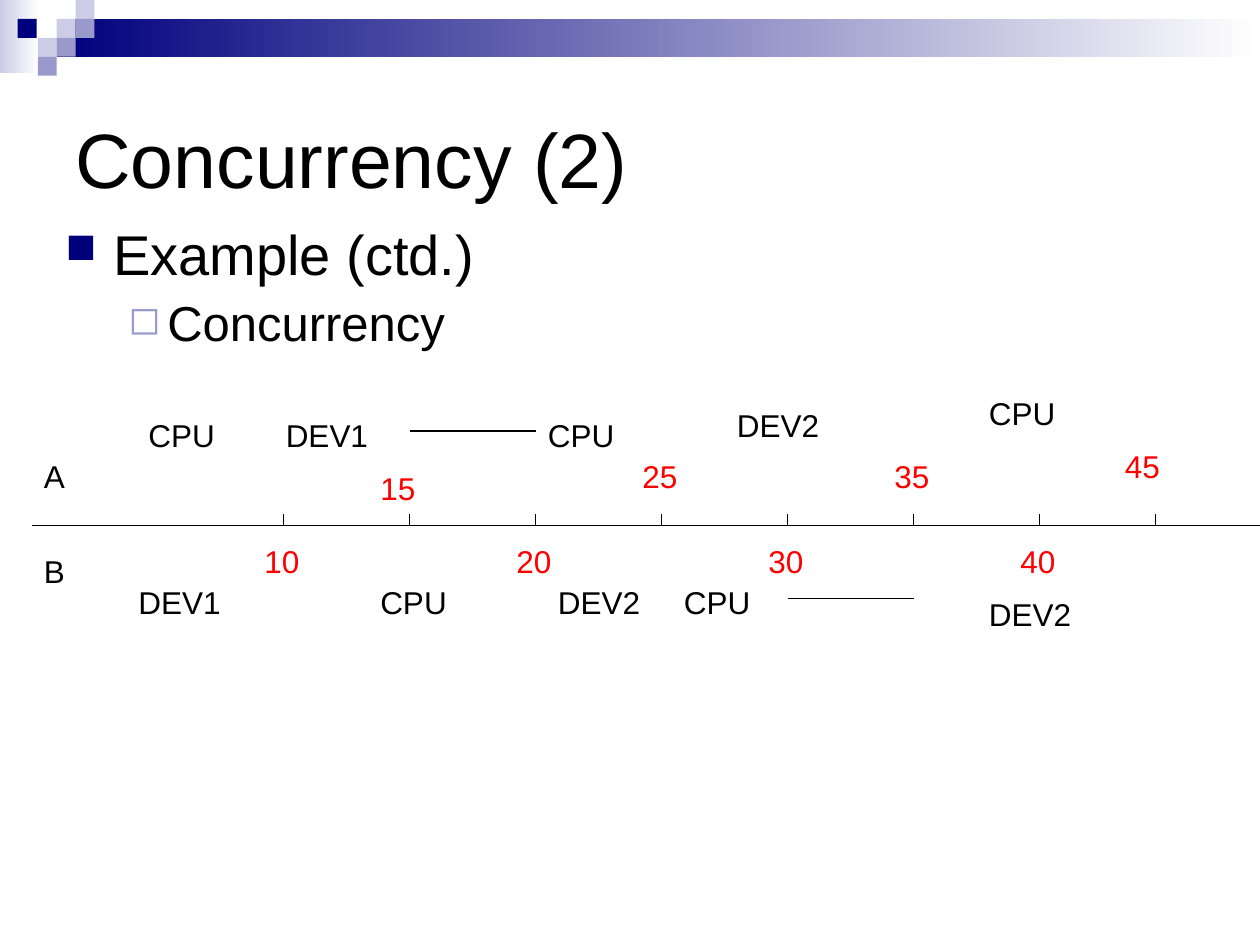
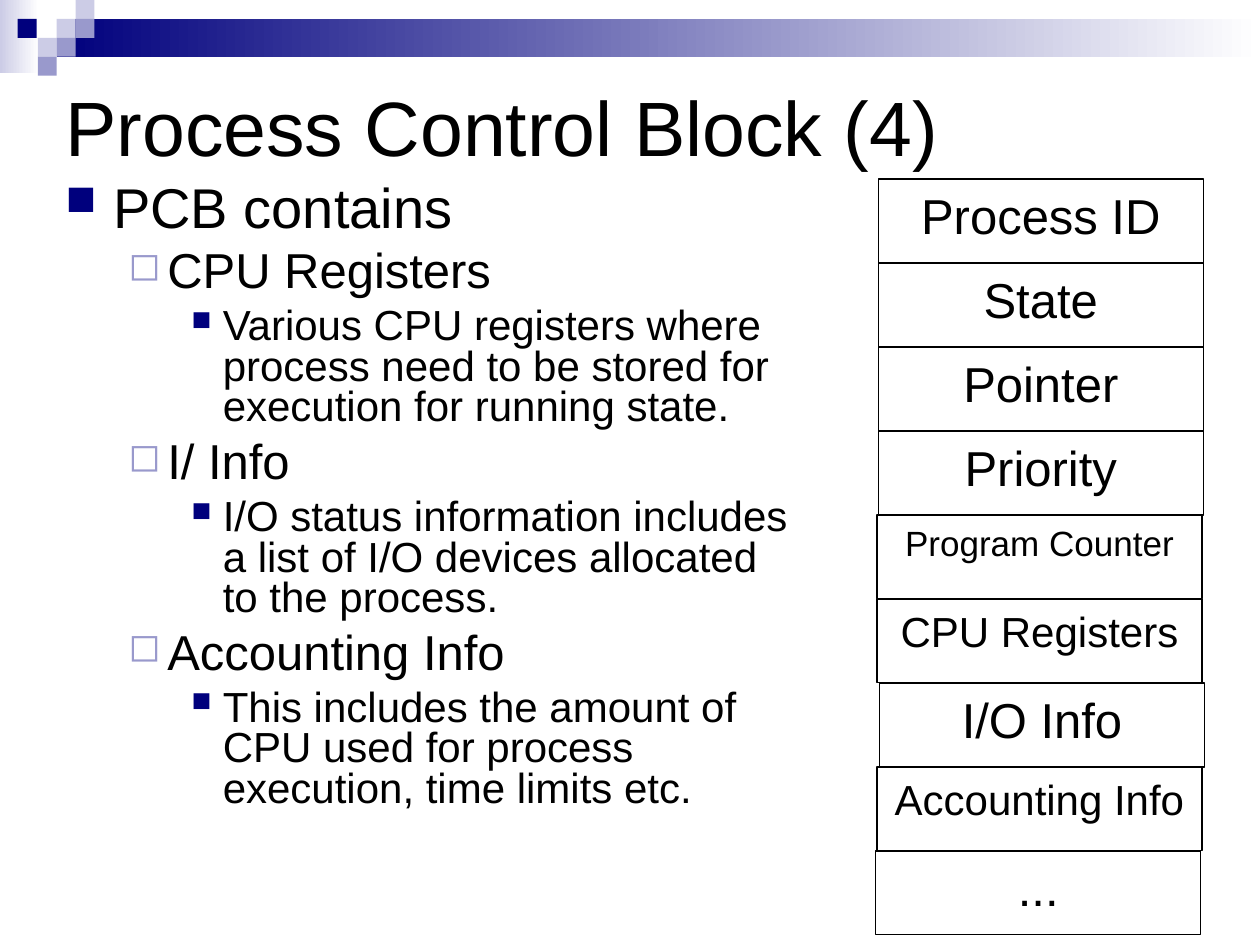
"""Build two operating-systems slides: a concurrency timeline and a process control block."""
from dataclasses import dataclass

from lxml import etree
from pptx import Presentation
from pptx.dml.color import RGBColor
from pptx.enum.shapes import MSO_CONNECTOR, MSO_SHAPE
from pptx.enum.text import MSO_ANCHOR, PP_ALIGN
from pptx.oxml.ns import qn
from pptx.presentation import Presentation as Deck
from pptx.shapes.autoshape import Shape
from pptx.slide import Slide
from pptx.text.text import _Paragraph as Paragraph
from pptx.util import Inches, Pt

RECTANGLE = MSO_SHAPE.RECTANGLE
STRAIGHT = MSO_CONNECTOR.STRAIGHT
TOP, MIDDLE = MSO_ANCHOR.TOP, MSO_ANCHOR.MIDDLE
LEFT, CENTER = PP_ALIGN.LEFT, PP_ALIGN.CENTER

FONT = "Arial"
BLACK, WHITE, RED = "000000", "FFFFFF", "FF0000"
NAVY, LAVENDER, PALE = "00007D", "9999CC", "CCCCE6"

SQUARE = 0.15
BLANK_LAYOUT = 6


@dataclass(frozen=True)
class Area:
    """A rectangle on the slide, in inches."""
    left: float
    top: float
    width: float
    height: float


@dataclass(frozen=True)
class Square:
    """A small decorative square of the header."""
    left: float
    top: float
    color: str


@dataclass(frozen=True)
class Level:
    """The look of one outline level."""
    size: int
    margin: float
    hanging: float
    before: int
    bullet: str
    bullet_color: str
    bullet_percent: int


@dataclass(frozen=True)
class Item:
    """One outline line and its level."""
    level: int
    text: str


@dataclass(frozen=True)
class Label:
    """A timeline label and its corner."""
    text: str
    left: float
    top: float
    color: str = BLACK


@dataclass(frozen=True)
class Field:
    """One field of the process control block."""
    text: str
    left: float
    size: int = 28


SQUARES = [
    Square(0.45, 0.15, PALE),
    Square(0.6, 0, PALE),
    Square(0.6, 0.15, LAVENDER),
    Square(0.3, 0.3, PALE),
    Square(0.14, 0.15, NAVY),
    Square(0.45, 0.3, LAVENDER),
    Square(0.3, 0.45, LAVENDER),
]

LEVELS = [
    Level(32, 0.38, 0.38, 8, "■", NAVY, 75),
    Level(28, 0.81, 0.31, 7, "◻", LAVENDER, 80),
    Level(24, 1.25, 0.25, 6, "■", NAVY, 65),
]

AXIS_TOP = 4.17
TICK_TOP = 4.08
SEGMENT_STARTS = [0.25 + step for step in range(9)] + [9.17]
FIRST_TICK = 2
TIMELINE_LABELS = [
    Label("A", 0.25, 3.58),
    Label("B", 0.25, 4.33),
    Label("CPU", 1.08, 3.25),
    Label("DEV1", 1, 4.58),
    Label("DEV1", 2.17, 3.25),
    Label("CPU", 2.92, 4.58),
    Label("10", 2, 4.25, RED),
    Label("15", 2.92, 3.67, RED),
    Label("20", 4, 4.25, RED),
    Label("25", 5, 3.58, RED),
    Label("CPU", 4.25, 3.25),
    Label("DEV2", 4.33, 4.58),
    Label("CPU", 5.33, 4.58),
    Label("30", 6, 4.25, RED),
    Label("35", 7, 3.58, RED),
    Label("DEV2", 5.75, 3.17),
    Label("40", 8, 4.25, RED),
    Label("45", 8.83, 3.5, RED),
    Label("CPU", 7.75, 3.08),
    Label("DEV2", 7.75, 4.67),
]

CONCURRENCY_ITEMS = [Item(0, "Example (ctd.)"), Item(1, "Concurrency")]

PCB_ITEMS = [
    Item(0, "PCB contains"),
    Item(1, "CPU Registers"),
    Item(2, "Various CPU registers where process need to be stored for execution for running state."),
    Item(1, "I/ Info"),
    Item(2, "I/O status information includes a list of I/O devices allocated to the process."),
    Item(1, "Accounting Info"),
    Item(2, "This includes the amount of CPU used for process execution, time limits etc."),
]

PCB_TOP = 1.42
PCB_PITCH = 2 / 3
PCB_FIELDS = [
    Field("Process ID", 6.97),
    Field("State", 6.97),
    Field("Pointer", 6.97),
    Field("Priority", 6.97),
    Field("Program Counter", 6.96, 20),
    Field("CPU Registers", 6.96, 24),
    Field("I/O Info", 6.98),
    Field("Accounting Info", 6.96, 24),
    Field("...", 6.95),
]


def rgb(color: str) -> RGBColor:
    """Turn a hex string into a colour."""
    return RGBColor.from_string(color)


def set_font(para: Paragraph, size: int, color: str = BLACK) -> None:
    """Set the font shared by a paragraph's runs."""
    para.font.name = FONT
    para.font.size = Pt(size)
    para.font.color.rgb = rgb(color)


def add_rectangle(page: Slide, area: Area) -> Shape:
    """Add a rectangle without fill, line or shadow."""
    box = page.shapes.add_shape(RECTANGLE, Inches(area.left), Inches(area.top),
                                Inches(area.width), Inches(area.height))
    box.shadow.inherit = False
    box.fill.background()
    box.line.fill.background()
    return box


def add_fading_band(page: Slide, area: Area, color: str) -> None:
    """Add a band that fades to white on the right."""
    band = add_rectangle(page, area)
    band.fill.gradient()
    band.fill.gradient_angle = 0
    for stop, position, shade in zip(band.fill.gradient_stops, (0, 1), (color, WHITE)):
        stop.position = position
        stop.color.rgb = rgb(shade)


def add_line(page: Slide, start: tuple[float, float], end: tuple[float, float]) -> None:
    """Add a thin black line."""
    line = page.shapes.add_connector(STRAIGHT, *map(Inches, start + end))
    line.line.color.rgb = rgb(BLACK)
    line.line.width = Pt(0.75)
    etree.SubElement(line._element.spPr, qn("a:effectLst"))


def add_text_box(page: Slide, area: Area, anchor: MSO_ANCHOR = TOP) -> Shape:
    """Add an empty wrapping text box."""
    box = page.shapes.add_textbox(Inches(area.left), Inches(area.top),
                                  Inches(area.width), Inches(area.height))
    box.text_frame.word_wrap = True
    box.text_frame.vertical_anchor = anchor
    return box


def write(box: Shape, text: str, size: int, color: str = BLACK,
          alignment: PP_ALIGN = LEFT) -> None:
    """Write one paragraph into a shape."""
    para = box.text_frame.paragraphs[0]
    para.text = text
    para.alignment = alignment
    set_font(para, size, color)


def add_bullet(para: Paragraph, level: Level) -> None:
    """Give a paragraph its bullet and hanging indent."""
    properties = para._p.get_or_add_pPr()
    properties.set("marL", str(Inches(level.margin)))
    properties.set("indent", str(-Inches(level.hanging)))
    bullet_color = etree.SubElement(properties, qn("a:buClr"))
    etree.SubElement(bullet_color, qn("a:srgbClr"), val=level.bullet_color)
    etree.SubElement(properties, qn("a:buSzPct"), val=str(level.bullet_percent * 1000))
    etree.SubElement(properties, qn("a:buChar"), char=level.bullet)


def add_outline(page: Slide, area: Area, items: list[Item], spacing: float) -> None:
    """Add a bulleted outline."""
    frame = add_text_box(page, area).text_frame
    for index, item in enumerate(items):
        level = LEVELS[item.level]
        para = frame.add_paragraph() if index else frame.paragraphs[0]
        para.text = item.text
        para.level = item.level
        add_bullet(para, level)
        para.line_spacing = spacing
        para.space_before = Pt(level.before if index else 0)
        set_font(para, level.size)


def add_page(deck: Deck, title: str, title_area: Area) -> Slide:
    """Add a slide with the shared header and a title."""
    page = deck.slides.add_slide(deck.slide_layouts[BLANK_LAYOUT])
    add_fading_band(page, Area(0, 0, 0.31, 0.58), PALE)
    add_fading_band(page, Area(0.45, 0.15, 9.55, 0.3), NAVY)
    for square in SQUARES:
        box = add_rectangle(page, Area(square.left, square.top, SQUARE, SQUARE))
        box.fill.solid()
        box.fill.fore_color.rgb = rgb(square.color)
    write(add_text_box(page, title_area, MIDDLE), title, 44)
    return page


def add_concurrency_page(deck: Deck) -> None:
    """Add the timeline of processes A and B."""
    page = add_page(deck, "Concurrency (2)", Area(0.5, 0.5, 9, 1.5))
    add_outline(page, Area(0.42, 1.75, 9, 4.82), CONCURRENCY_ITEMS, 0.9)
    for index, start in enumerate(SEGMENT_STARTS):
        add_line(page, (start, AXIS_TOP), (start + 1, AXIS_TOP))
        if index >= FIRST_TICK:
            add_line(page, (start, AXIS_TOP), (start, TICK_TOP))
    for label in TIMELINE_LABELS:
        width = 1 if label.text.startswith("DEV") else 0.83
        box = add_text_box(page, Area(label.left, label.top, width, 0.4))
        write(box, label.text, 18, label.color)
    for left, top in ((3.25, 3.42), (6.25, 4.75)):
        add_line(page, (left, top), (left + 1, top))


def add_pcb_page(deck: Deck) -> None:
    """Add the process control block and its outline."""
    page = add_page(deck, "Process Control Block (4)", Area(0.42, 0.25, 9.42, 1.5))
    add_outline(page, Area(0.42, 1.42, 6, 5.92), PCB_ITEMS, 0.8)
    for index, field in enumerate(PCB_FIELDS):
        box = add_rectangle(page, Area(field.left, PCB_TOP + index * PCB_PITCH, 2.58, PCB_PITCH))
        box.line.color.rgb = rgb(BLACK)
        box.line.width = Pt(0.75)
        box.text_frame.word_wrap = True
        box.text_frame.vertical_anchor = TOP
        write(box, field.text, field.size, alignment=CENTER)


def main() -> None:
    """Build and save the deck."""
    deck = Presentation()
    deck.slide_width, deck.slide_height = Inches(10), Inches(7.5)
    add_concurrency_page(deck)
    add_pcb_page(deck)
    deck.save("out.pptx")


if __name__ == "__main__":
    main()
